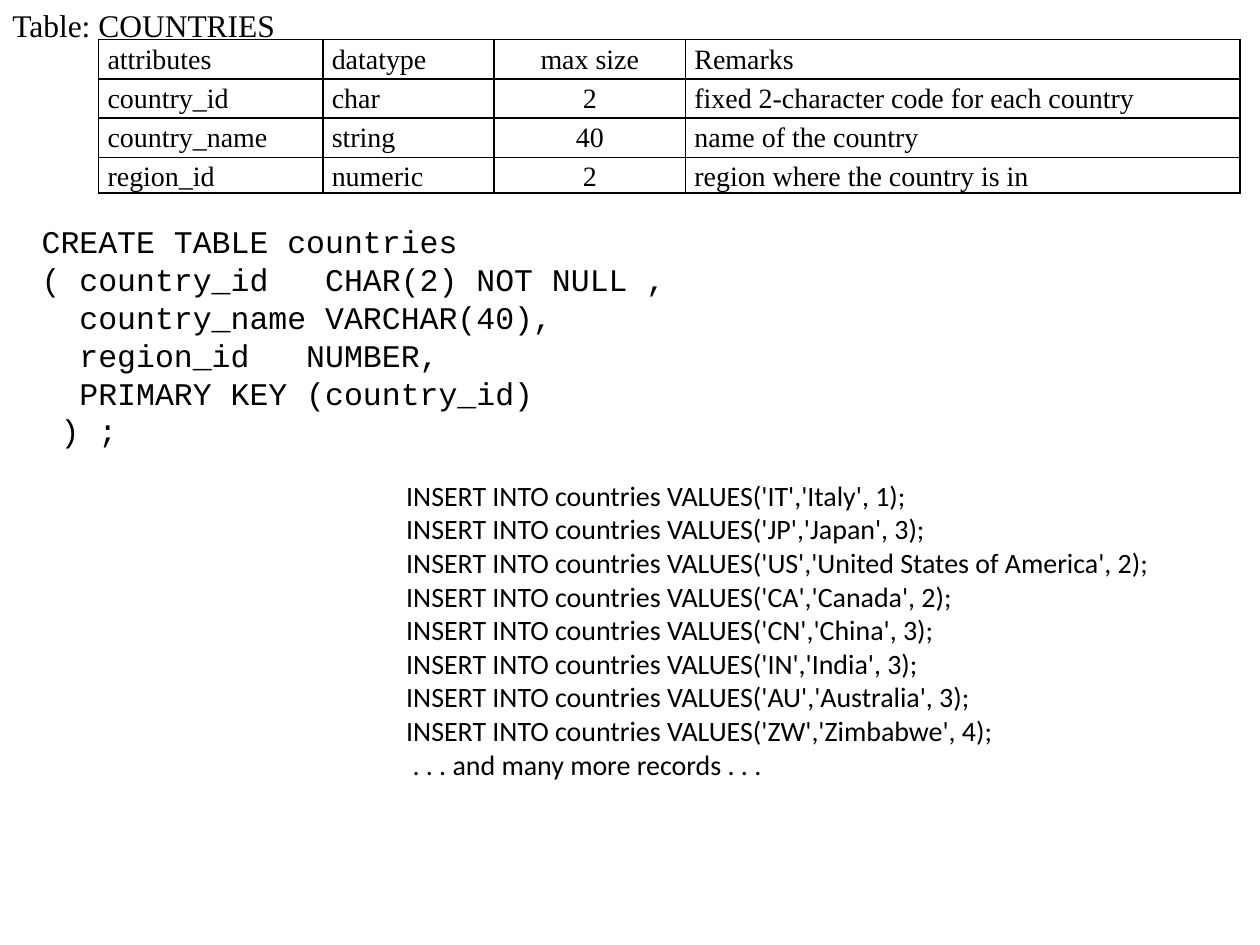
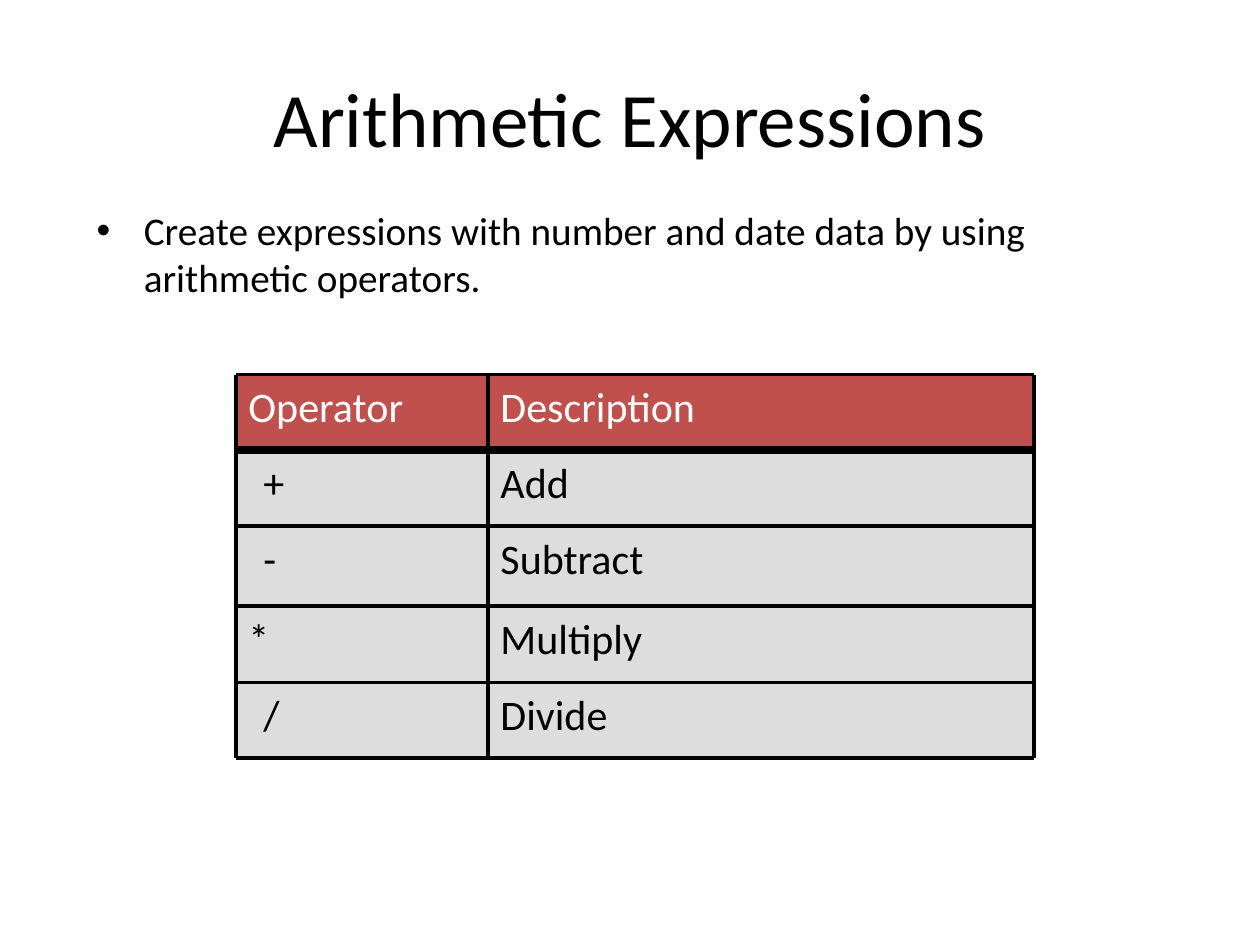
"""Build two slides: a countries table in SQL and the arithmetic operators."""
from dataclasses import dataclass
from itertools import accumulate, pairwise

from lxml.etree import SubElement
from pptx import Presentation
from pptx.dml.color import RGBColor
from pptx.enum.shapes import MSO_CONNECTOR as Connector, MSO_SHAPE as Preset
from pptx.enum.text import MSO_ANCHOR as Anchor, PP_ALIGN as Align
from pptx.oxml import parse_xml
from pptx.oxml.ns import nsdecls, qn
from pptx.util import Cm, Pt


@dataclass(frozen=True)
class Theme:
    """Hold the colours, fonts, type sizes and rule widths of the deck."""
    black: str = "000000"
    white: str = "FFFFFF"
    header_red: str = "C0504D"
    cell_grey: str = "DDDDDD"
    sans: str = "Calibri"
    serif: str = "Times New Roman"
    mono: str = "Courier New"
    title: float = 44
    operator: float = 24
    body: float = 22.4
    code: float = 18
    small: float = 16
    hairline: float = 1
    rule: float = 2.25
    header_rule: float = 4.5


THEME = Theme()

COUNTRY_ROWS = [
    ("attributes", "datatype", "max size", "Remarks"),
    ("country_id", "char", "2", "fixed 2-character code for each country"),
    ("country_name", "string", "40", "name of the country"),
    ("region_id", "numeric", "2", "region where the country is in"),
]
CREATE_LINES = [
    "CREATE TABLE countries",
    "( country_id   CHAR(2) NOT NULL ,",
    "  country_name VARCHAR(40),",
    "  region_id   NUMBER,",
    "  PRIMARY KEY (country_id)",
    " ) ;",
]
COUNTRIES = [
    ("IT", "Italy", 1), ("JP", "Japan", 3), ("US", "United States of America", 2),
    ("CA", "Canada", 2), ("CN", "China", 3), ("IN", "India", 3),
    ("AU", "Australia", 3), ("ZW", "Zimbabwe", 4),
]
OPERATOR_ROWS = [
    ("Operator", "Description"),
    ("+", "Add"),
    ("-", "Subtract"),
    ("*", "Multiply"),
    ("/", "Divide"),
]


def style(para, font, size, color=THEME.black, align=Align.LEFT):
    """Set the font, colour and alignment of a paragraph."""
    para.font.name = font
    para.font.size = Pt(size)
    para.font.color.rgb = RGBColor.from_string(color)
    para.alignment = align


def indent(para, left, first=0):
    """Set the left and first-line indents and return the paragraph properties."""
    properties = para._p.get_or_add_pPr()
    properties.set("marL", str(Cm(left)))
    properties.set("indent", str(Cm(first)))
    return properties


def add_bullet(para, hang):
    """Give a paragraph a hanging round bullet."""
    properties = indent(para, hang, -hang)
    SubElement(properties, qn("a:buFont"), typeface="Arial")
    SubElement(properties, qn("a:buChar"), char="•")


def add_text(page, lines, place, font, size, align=Align.LEFT, anchor=Anchor.TOP):
    """Add a wrapping text box with one paragraph per line."""
    box = page.shapes.add_textbox(*map(Cm, place))
    frame = box.text_frame
    frame.word_wrap = True
    frame.vertical_anchor = anchor
    frame.text = "\n".join(lines)
    for para in frame.paragraphs:
        style(para, font, size, align=align)
    return box


def set_borders(cell, width):
    """Draw the four cell edges in black."""
    properties = cell._tc.get_or_add_tcPr()
    for index, side in enumerate("LRTB"):
        properties.insert(index, parse_xml(
            f'<a:ln{side} {nsdecls("a")} w="{Pt(width)}"><a:solidFill>'
            f'<a:srgbClr val="{THEME.black}"/></a:solidFill></a:ln{side}>'))


def add_country_table(page, corner, widths, heights):
    """Add the bordered table of country attributes."""
    place = (*corner, sum(widths), sum(heights))
    table = page.shapes.add_table(len(heights), len(widths), *map(Cm, place)).table
    table.first_row = table.horz_banding = False
    for column, width in zip(table.columns, widths):
        column.width = Cm(width)
    for row, height, texts in zip(table.rows, heights, COUNTRY_ROWS):
        row.height = Cm(height)
        for column, (cell, text) in enumerate(zip(row.cells, texts)):
            cell.text = text
            cell.fill.background()
            set_borders(cell, THEME.hairline)
            cell.margin_left = cell.margin_right = Cm(0.18)
            cell.margin_top = cell.margin_bottom = 0
            para = cell.text_frame.paragraphs[0]
            para.line_spacing = 1.15
            style(para, THEME.serif, THEME.small,
                  align=Align.CENTER if column == 2 else Align.LEFT)


def add_tile(group, text, place, fill, ink):
    """Add a filled rectangle with text at its top left."""
    tile = group.shapes.add_shape(Preset.RECTANGLE, *map(Cm, place))
    tile.shadow.inherit = False
    tile.fill.solid()
    tile.fill.fore_color.rgb = RGBColor.from_string(fill)
    tile.line.fill.background()
    frame = tile.text_frame
    frame.word_wrap = True
    frame.vertical_anchor = Anchor.TOP
    frame.text = text
    para = frame.paragraphs[0]
    style(para, THEME.sans, THEME.operator, ink)
    if text in ("+", "-", "/"):
        indent(para, 0.3)


def add_rule(group, start, end, width=THEME.rule):
    """Add a straight black line without a shadow."""
    rule = group.shapes.add_connector(Connector.STRAIGHT, *map(Cm, (*start, *end)))
    rule.line.color.rgb = RGBColor.from_string(THEME.black)
    rule.line.width = Pt(width)
    SubElement(rule._element.spPr, qn("a:effectLst"))


def add_operator_grid(page, corner, widths, heights):
    """Add the grouped tiles and rules of the operator grid."""
    group = page.shapes.add_group_shape()
    edges = list(accumulate(widths, initial=corner[0]))
    levels = list(accumulate(heights, initial=corner[1]))
    for number, (texts, (top, bottom)) in enumerate(zip(OPERATOR_ROWS, pairwise(levels))):
        fill, ink = ((THEME.cell_grey, THEME.black) if number
                     else (THEME.header_red, THEME.white))
        for text, (left, right) in zip(texts, pairwise(edges)):
            add_tile(group, text, (left, top, right - left, bottom - top), fill, ink)
    left, middle, right = edges
    top, header_bottom, *_, bottom = levels
    for level in levels:
        width = THEME.header_rule if level == header_bottom else THEME.rule
        add_rule(group, (left, level), (right, level), width)
    add_rule(group, (middle, top), (middle, bottom))
    for edge in (left, right):
        for start, end in pairwise((top, header_bottom, bottom)):
            add_rule(group, (edge, start), (edge, end))


def build_countries(page):
    """Show the countries table with its SQL statements."""
    add_country_table(page, (1.99, 0.8), (4.52, 3.45, 3.86, 11.18),
                      (0.79, 0.79, 0.79, 0.69))
    add_text(page, ["Table: COUNTRIES"], (0, 0, 7.92, 1.02), THEME.serif,
             THEME.code, anchor=Anchor.MIDDLE)
    add_text(page, CREATE_LINES, (0.59, 4.36, 14.3, 4.88), THEME.mono, THEME.code)
    inserts = [f"INSERT INTO countries VALUES('{code}','{name}', {region});"
               for code, name, region in COUNTRIES]
    add_text(page, inserts + [" . . . and many more records . . ."],
             (7.94, 9.52, 16.28, 6.4), THEME.sans, THEME.small)


def build_operators(page):
    """Show the arithmetic operators under a title and a bullet."""
    add_text(page, ["Arithmetic Expressions"], (1.27, 0.76, 22.86, 3.18),
             THEME.sans, THEME.title, Align.CENTER, Anchor.MIDDLE)
    body = add_text(
        page, ["Create expressions with number and date data by using arithmetic operators."],
        (1.7, 4.03, 22, 1.93), THEME.sans, THEME.body)
    para = body.text_frame.paragraphs[0]
    para.space_before = Pt(4.5)
    add_bullet(para, 0.95)
    add_operator_grid(page, (4.76, 7.55), (5.08, 11), (1.53, 1.53, 1.61, 1.54, 1.53))


def main():
    """Build the deck and save it."""
    deck = Presentation()
    deck.slide_width, deck.slide_height = Cm(25.4), Cm(19.05)
    blank = deck.slide_layouts[6]
    for build in (build_countries, build_operators):
        build(deck.slides.add_slide(blank))
    deck.save("out.pptx")


if __name__ == "__main__":
    main()
